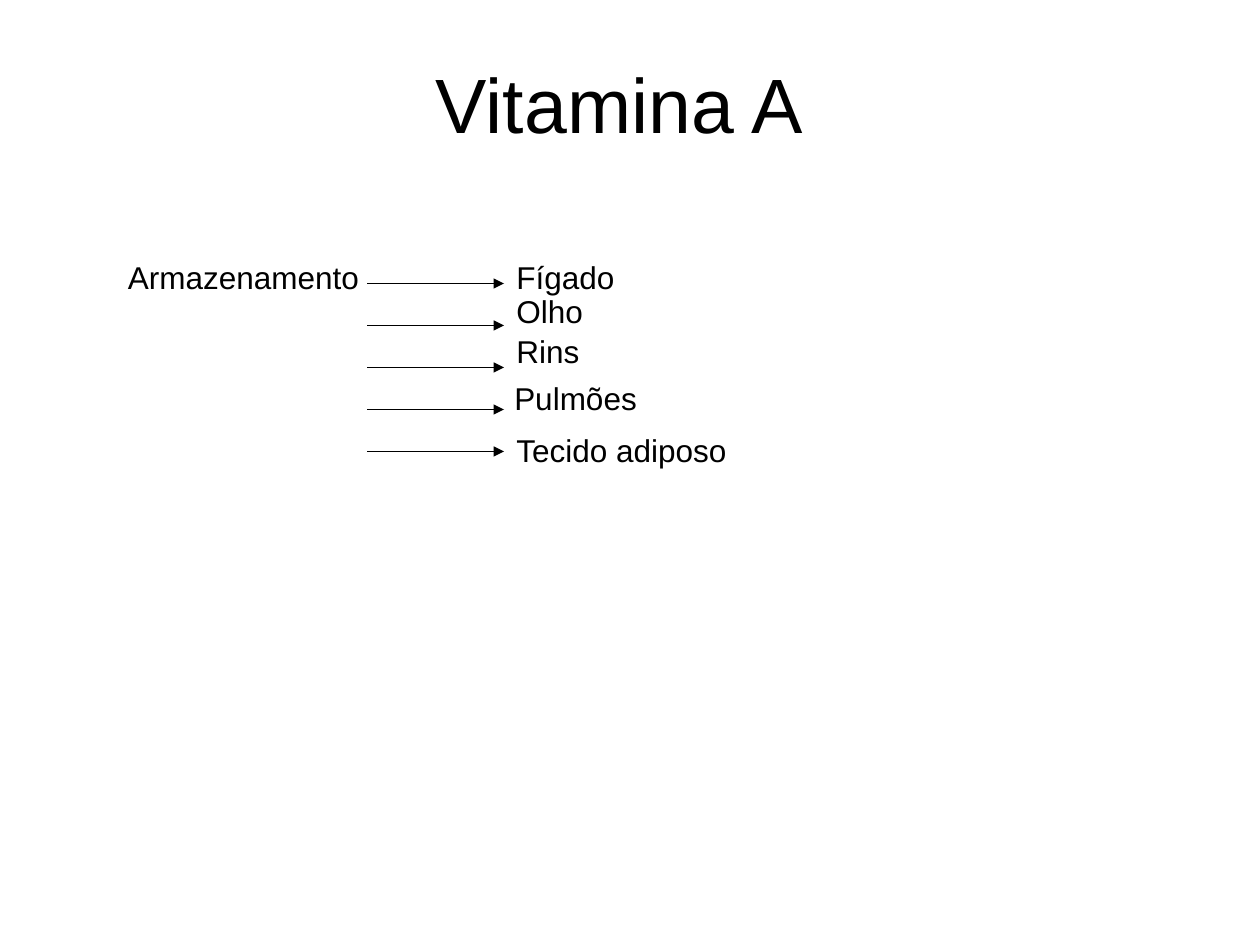
from dataclasses import dataclass

from lxml.etree import SubElement as Sub
from pptx import Presentation as Deck
from pptx.dml.color import RGBColor as Color
from pptx.enum.shapes import MSO_CONNECTOR as Link
from pptx.enum.text import MSO_ANCHOR as Anchor, MSO_AUTO_SIZE as Fit, PP_ALIGN as Align
from pptx.oxml.ns import qn
from pptx.util import Pt

INK = "000000"
FACE = "Arial"
ROW_TOP, ROW_GAP = 162, 24
TAIL_X, HEAD_X = 210, 288


@dataclass
class Label:
    """A line of text and its box, in points."""
    text: str
    left: float
    top: float
    width: float
    height: float = 29
    size: float = 18
    title: bool = False


TITLE = Label("Vitamina A", 48, 18, 612, 70.8, 44, True)
SOURCE = Label("Armazenamento", 66, 144, 148)
ORGANS = [
    Label("Fígado", 288, 144, 72),
    Label("Olho", 288, 163.5, 54),
    Label("Rins", 288, 186, 52),
    Label("Pulmões", 286.8, 213, 86),
    Label("Tecido adiposo", 288, 242.7, 137),
]


def paint(color, code: str) -> None:
    """Set a colour from a hex string."""
    color.rgb = Color.from_string(code)


def style(item, form: dict) -> None:
    """Set each attribute named in the format."""
    for name, value in form.items():
        setattr(item, name, value)


def write(slide, label: Label) -> None:
    """Draw one label."""
    box = slide.shapes.add_textbox(
        Pt(label.left), Pt(label.top), Pt(label.width), Pt(label.height))
    frame = box.text_frame
    style(frame, {
        "word_wrap": label.title,
        "auto_size": Fit.NONE if label.title else Fit.SHAPE_TO_FIT_TEXT,
        "vertical_anchor": Anchor.BOTTOM if label.title else Anchor.TOP,
    })
    para = frame.paragraphs[0]
    para.alignment = Align.CENTER if label.title else Align.LEFT
    run = para.add_run()
    run.text = label.text
    style(run.font, {"name": FACE, "size": Pt(label.size)})
    paint(run.font.color, INK)


def point(slide, y: float) -> None:
    """Draw one arrow to the right at height y."""
    arrow = slide.shapes.add_connector(
        Link.STRAIGHT, Pt(TAIL_X), Pt(y), Pt(HEAD_X), Pt(y))
    arrow.line.width = Pt(0.74)
    paint(arrow.line.color, INK)
    props = arrow.element.spPr
    Sub(props.find(qn("a:ln")), qn("a:tailEnd"), type="triangle")
    Sub(props, qn("a:effectLst"))


def main() -> None:
    """Build and save the slide."""
    deck = Deck()
    style(deck, {"slide_width": Pt(720), "slide_height": Pt(540)})
    slide = deck.slides.add_slide(deck.slide_layouts[6])
    write(slide, TITLE)
    write(slide, SOURCE)
    for row in range(len(ORGANS)):
        point(slide, ROW_TOP + row * ROW_GAP)
    for organ in ORGANS:
        write(slide, organ)
    deck.save("out.pptx")


main()
